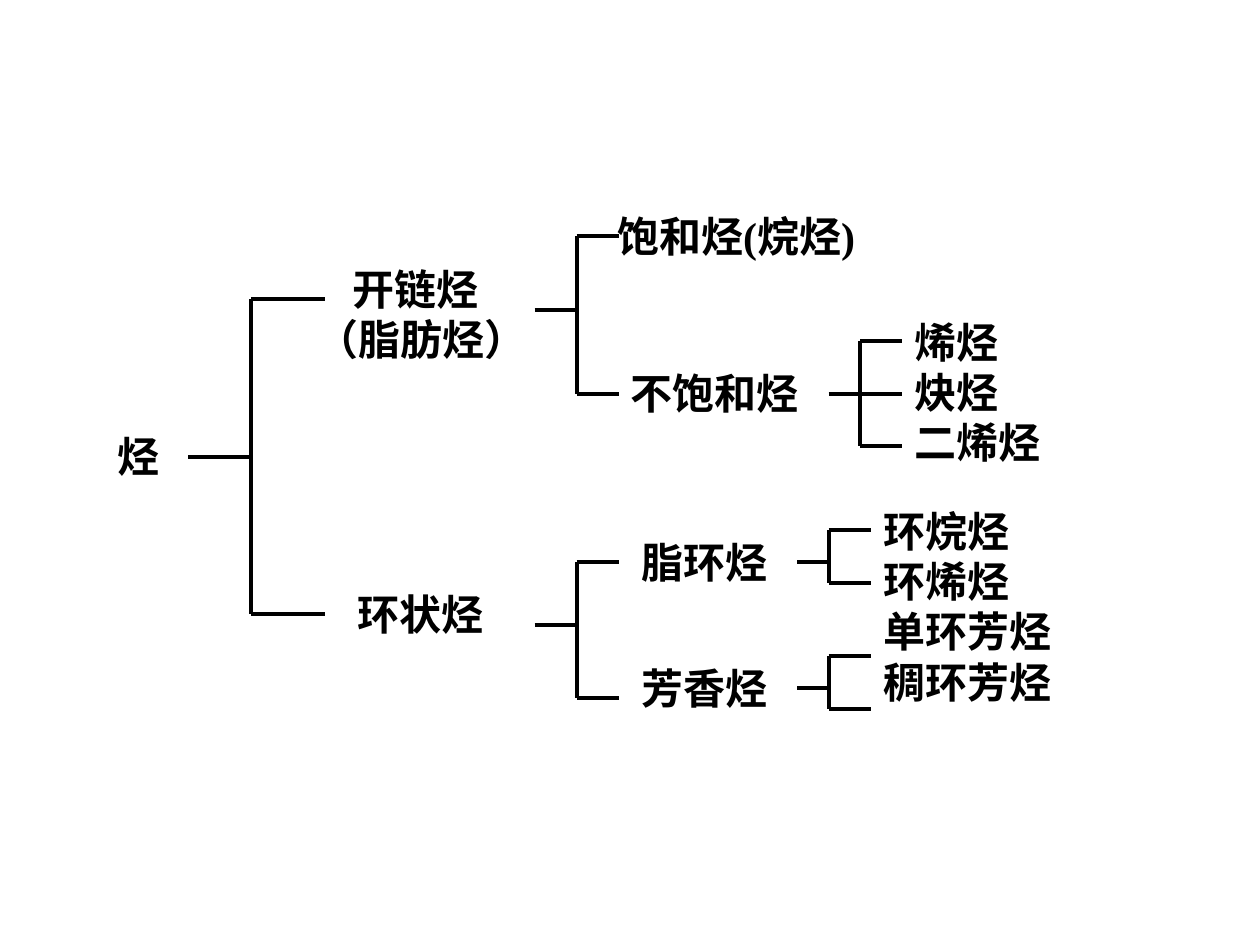
from lxml import etree
from pptx import Presentation
from pptx.dml.color import RGBColor
from pptx.enum.shapes import MSO_CONNECTOR
from pptx.enum.text import MSO_AUTO_SIZE
from pptx.oxml.ns import qn
from pptx.util import Pt

STRAIGHT = MSO_CONNECTOR.STRAIGHT
FIT_SHAPE = MSO_AUTO_SIZE.SHAPE_TO_FIT_TEXT
BLACK = RGBColor(0, 0, 0)
FONT = "Times New Roman"
LINE_HEIGHT = 28.8
INSET_X, INSET_Y = 7.2, 3.6

# left, top, width, wrap, first-line indent, lines
LABELS = [
    (59.8, 242.6, 38.2, False, 0, ["烃"]),
    (173.5, 146.9, 151.9, True, 21, ["开链烃", "（脂肪烃）"]),
    (197.3, 332.6, 86.4, True, 0, ["环状烃"]),
    (345.6, 116.6, 167.8, False, 0, ["饱和烃(烷烃)"]),
    (353.5, 206.6, 110.2, False, 0, ["不饱和烃"]),
    (359.3, 303.1, 86.4, True, 0, ["脂环烃"]),
    (359.3, 375.1, 86.4, True, 0, ["芳香烃"]),
    (515.5, 177.1, 86.4, False, 0, ["烯烃", "炔烃", "二烯烃"]),
    (497.5, 285.1, 126, True, 0, ["环烷烃", "环烯烃", "单环芳烃", "稠环芳烃"]),
]

# stem start, spine, branch end, stem height, branch heights
BRACKETS = [
    (107.5, 143.5, 185.5, 261, [171, 351]),
    (305.5, 329.5, 353.5, 177, [135, 225]),
    (305.5, 329.5, 353.5, 357, [321, 399]),
    (473.5, 491.5, 515.5, 225, [195, 225, 255]),
    (455.5, 473.5, 497.5, 321, [303, 333]),
    (455.5, 473.5, 497.5, 393, [375, 405]),
]


def add_label(slide, lines, *, left, top, width, wrap, indent, size=24, bold=True):
    height = len(lines) * LINE_HEIGHT + 2 * INSET_Y
    label = slide.shapes.add_textbox(Pt(left), Pt(top), Pt(width), Pt(height))
    frame = label.text_frame
    frame.word_wrap = wrap
    frame.auto_size = FIT_SHAPE
    frame.margin_left = frame.margin_right = Pt(INSET_X)
    frame.margin_top = frame.margin_bottom = Pt(INSET_Y)
    frame.text = "\n".join(lines)
    for paragraph in frame.paragraphs:
        font = paragraph.font
        for target in (font, paragraph.runs[0].font):
            target.name = FONT
            target.size = Pt(size)
            target.bold = bold
            target.color.rgb = BLACK
    if indent:
        frame.paragraphs[0].runs[0].font.bold = bold
        properties = frame.paragraphs[0]._p.get_or_add_pPr()
        properties.set("marL", str(Pt(indent)))


def add_line(slide, x1, y1, x2, y2):
    line = slide.shapes.add_connector(STRAIGHT, Pt(x1), Pt(y1), Pt(x2), Pt(y2))
    line.line.color.rgb = BLACK
    line.line.width = Pt(2.25)
    etree.SubElement(line._element.spPr, qn("a:effectLst"))


def add_bracket(slide, stem, spine, tip, middle, branches):
    add_line(slide, stem, middle, spine, middle)
    add_line(slide, spine, branches[0], spine, branches[-1])
    for y in branches:
        add_line(slide, spine, y, tip, y)


def main():
    deck = Presentation()
    deck.slide_width, deck.slide_height = Pt(720), Pt(540)
    slide = deck.slides.add_slide(deck.slide_layouts[6])
    for left, top, width, wrap, indent, lines in LABELS:
        add_label(slide, lines, left=left, top=top, width=width, wrap=wrap, indent=indent)
    for bracket in BRACKETS:
        add_bracket(slide, *bracket)
    deck.save("out.pptx")


if __name__ == "__main__":
    main()
